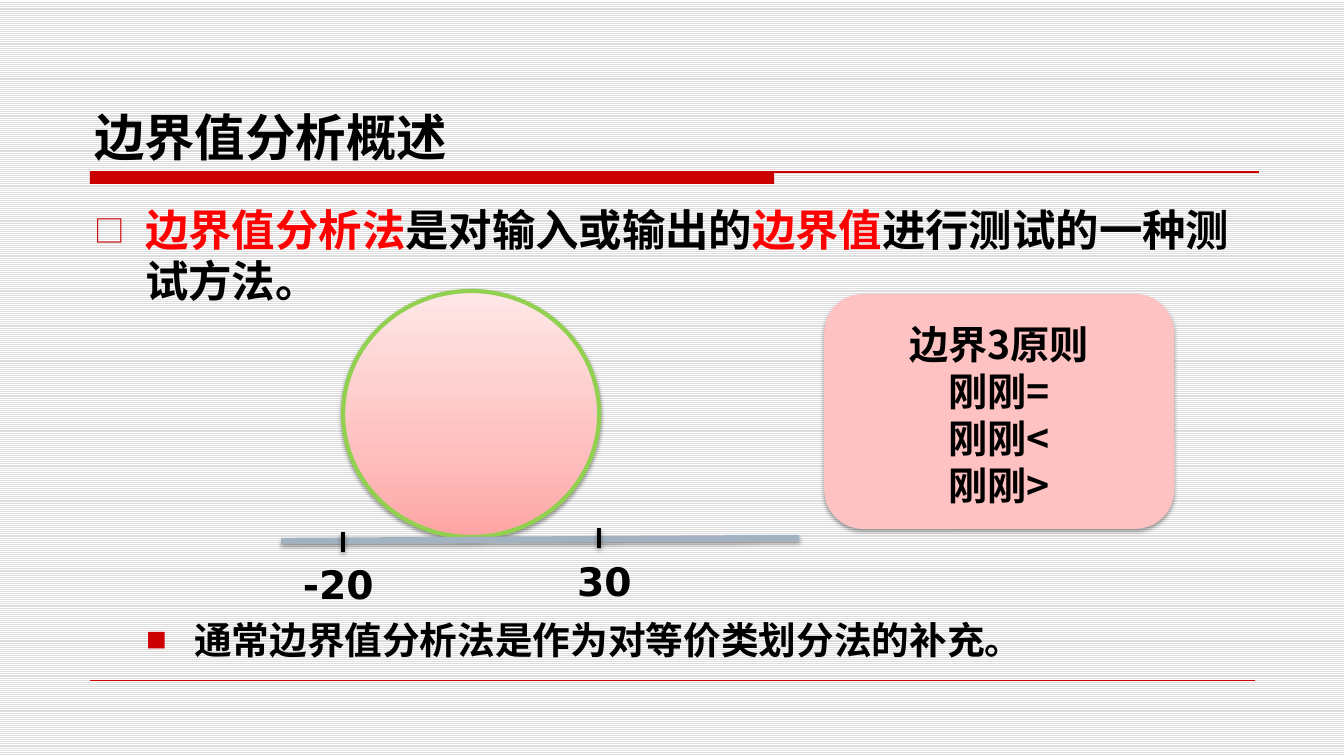
from copy import deepcopy

from lxml import etree
from pptx import Presentation
from pptx.dml.color import RGBColor
from pptx.enum.dml import MSO_PATTERN
from pptx.enum.shapes import MSO_CONNECTOR, MSO_SHAPE
from pptx.enum.text import MSO_ANCHOR, MSO_AUTO_SIZE, PP_ALIGN
from pptx.oxml.ns import qn
from pptx.util import Emu, Inches, Pt

STRAIGHT = MSO_CONNECTOR.STRAIGHT
CJK, LATIN = "Noto Sans CJK SC", "DejaVu Sans"
BLACK, WHITE = RGBColor(0, 0, 0), RGBColor(255, 255, 255)
RED, CRIMSON = RGBColor(0xFF, 0, 0), RGBColor(0xCC, 0, 0)
GREEN, STEEL = RGBColor(0x92, 0xD0, 0x50), RGBColor(0xA3, 0xB2, 0xC1)
PINK, STRIPE = RGBColor(0xFF, 0xC2, 0xC2), RGBColor(0xDD, 0xDD, 0xDD)
PINK_STOPS = [
    (0, RGBColor(0xFF, 0xA5, 0xA5)),
    (0.35, RGBColor(0xFF, 0xBF, 0xBF)),
    (1, RGBColor(0xFF, 0xE7, 0xE7)),
]

TITLE = "边界值分析概述"
# runs, size, line height, space before, bullet, bullet percent, margin px, hang px
BULLETS = [
    ([("边界值分析法", RED), ("是对输入或输出的", BLACK), ("边界值", RED),
      ("进行测试的一种测试方法。", BLACK)], 31, 36.5, 0, "□", 70, 51, 51),
    ([("通常边界值分析法是作为对等价类划分法的补充。", BLACK)],
     26.9, 31.5, 223, "■", 55, 100, 48),
]
PRINCIPLES = ["边界3原则", "刚刚=", "刚刚<", "刚刚>"]
# label, tick x, tick top, label left, label top
TICKS = [("-20", 343, 532, 293, 555), ("30", 599, 528, 567, 552)]
TICK_HEIGHT = 20

PX = Inches(1) / 100.8


def px(*values):
    return [Emu(round(v * PX)) for v in values]


def style(r, size, color=BLACK, name=CJK):
    r.font.size, r.font.bold, r.font.name = Pt(size), True, name
    r.font.color.rgb = color
    etree.SubElement(r.font._element, qn("a:ea"), typeface=name)


def set_shadow(shape, alpha=0, dist=1.8):
    """Give a soft downward shadow, or none when alpha is 0."""
    effects = etree.SubElement(shape._element.spPr, qn("a:effectLst"))
    if alpha:
        outer = etree.SubElement(effects, qn("a:outerShdw"), blurRad=str(Pt(3.1)),
                                 dist=str(Pt(dist)), dir="5400000", rotWithShape="0")
        color = etree.SubElement(outer, qn("a:srgbClr"), val="000000")
        etree.SubElement(color, qn("a:alpha"), val=str(alpha * 1000))


def add_line(s, ends, color, width, alpha=0):
    line = s.shapes.add_connector(STRAIGHT, *px(*ends))
    line.line.color.rgb, line.line.width = color, Pt(width)
    set_shadow(line, alpha)


def set_bullet(p, char, percent, margin, hang):
    pPr = p._p.get_or_add_pPr()
    pPr.set("marL", str(px(margin)[0]))
    pPr.set("indent", str(px(-hang)[0]))
    color = etree.SubElement(pPr, qn("a:buClr"))
    etree.SubElement(color, qn("a:srgbClr"), val=str(CRIMSON))
    etree.SubElement(pPr, qn("a:buSzPct"), val=str(percent * 1000))
    etree.SubElement(pPr, qn("a:buFont"), typeface=CJK)
    etree.SubElement(pPr, qn("a:buChar"), char=char)


def place(shape, box, anchor):
    shape.left, shape.top, shape.width, shape.height = px(*box)
    tf = shape.text_frame
    tf.auto_size, tf.word_wrap = MSO_AUTO_SIZE.NONE, True
    tf.vertical_anchor = anchor
    tf.margin_top = tf.margin_bottom = 0
    return tf


def add_title_and_body(s):
    tf = place(s.shapes.title, (84, 33, 1176, 134), MSO_ANCHOR.BOTTOM)
    tf.text = TITLE
    tf.paragraphs[0].alignment = PP_ALIGN.LEFT
    style(tf.paragraphs[0].runs[0], 36)

    tf = place(s.placeholders[1], (84, 204, 1176, 460), MSO_ANCHOR.TOP)
    for i, (runs, size, height, before, *bullet) in enumerate(BULLETS):
        p = tf.add_paragraph() if i else tf.paragraphs[0]
        p.level = i
        set_bullet(p, *bullet)
        p.line_spacing, p.space_before = Pt(height), Pt(before)
        for text, color in runs:
            r = p.add_run()
            r.text = text
            style(r, size, color)


def add_rules(s):
    bar = s.shapes.add_shape(MSO_SHAPE.RECTANGLE, *px(90, 172, 684, 12))
    bar.shadow.inherit = False
    bar.fill.solid()
    bar.fill.fore_color.rgb = CRIMSON
    bar.line.fill.background()
    add_line(s, (90, 172, 1259, 172), CRIMSON, 0.75)
    add_line(s, (90, 680, 1255, 680), CRIMSON, 0.25)


def add_circle(s):
    circle = s.shapes.add_shape(MSO_SHAPE.OVAL, *px(343, 291, 256, 246))
    circle.fill.gradient()
    circle.fill.gradient_angle = 90
    stops = circle._element.spPr.find(".//" + qn("a:gsLst"))
    stops.append(deepcopy(stops[-1]))
    for stop, (position, color) in zip(circle.fill.gradient_stops, PINK_STOPS):
        stop.position, stop.color.rgb = position, color
    circle.line.color.rgb, circle.line.width = GREEN, Pt(3)
    set_shadow(circle, 38, 1.6)


def add_axis(s):
    add_line(s, (281, 541, 799, 538), STEEL, 4.5, 35)
    for label, x, top, left, label_top in TICKS:
        add_line(s, (x, top, x, top + TICK_HEIGHT), BLACK, 3, 35)
        tf = s.shapes.add_textbox(*px(left, label_top, 106, 58)).text_frame
        tf.word_wrap = True
        tf.text = label
        style(tf.paragraphs[0].runs[0], 28, name=LATIN)


def add_principles(s):
    card = s.shapes.add_shape(MSO_SHAPE.ROUNDED_RECTANGLE, *px(824, 294, 350, 235))
    card.fill.solid()
    card.fill.fore_color.rgb = PINK
    card.line.fill.background()
    set_shadow(card, 35)
    tf = card.text_frame
    tf.vertical_anchor = MSO_ANCHOR.MIDDLE
    tf.margin_top, tf.margin_bottom = px(6, 0)
    tf.text = "\n".join(PRINCIPLES)
    for p in tf.paragraphs:
        p.alignment, p.line_spacing = PP_ALIGN.CENTER, Pt(33.6)
        style(p.runs[0], 28)


def main():
    prs = Presentation()
    prs.slide_width, prs.slide_height = Inches(13.33), Inches(7.5)
    s = prs.slides.add_slide(prs.slide_layouts[1])
    fill = s.background.fill
    fill.patterned()
    fill.pattern = MSO_PATTERN.LIGHT_HORIZONTAL
    fill.fore_color.rgb, fill.back_color.rgb = STRIPE, WHITE
    add_title_and_body(s)
    add_rules(s)
    add_circle(s)
    add_axis(s)
    add_principles(s)
    prs.save("out.pptx")


if __name__ == "__main__":
    main()
